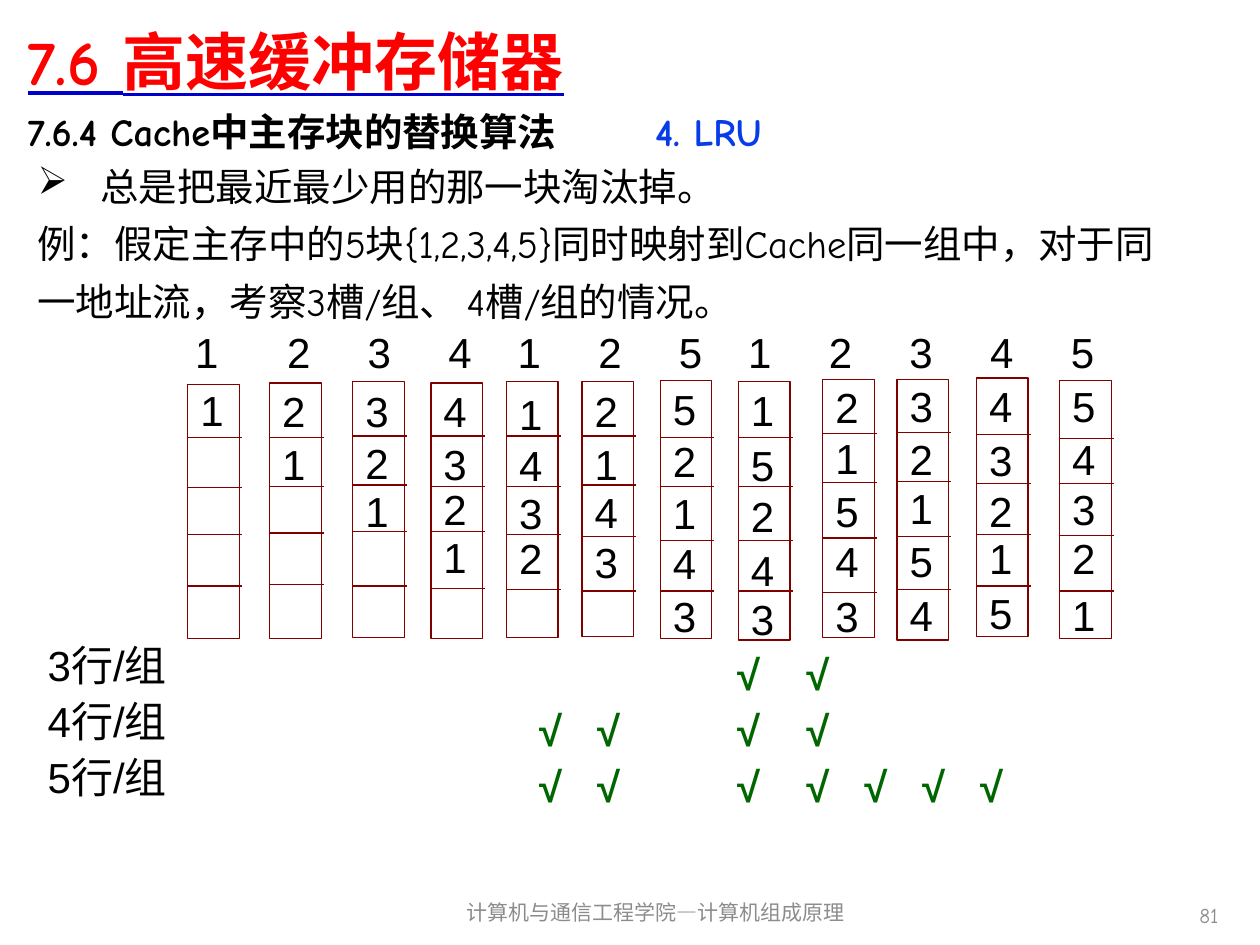
from itertools import accumulate

from lxml import etree
from pptx import Presentation
from pptx.dml.color import RGBColor
from pptx.enum.shapes import MSO_CONNECTOR, MSO_SHAPE
from pptx.enum.text import MSO_ANCHOR, MSO_AUTO_SIZE, PP_ALIGN
from pptx.oxml import parse_xml
from pptx.oxml.ns import nsdecls, qn
from pptx.util import Inches, Pt


def color(value):
    return RGBColor.from_string(value)


def add_text(area, lines, size, font_name="Comic Neue", ink="000000", bold=False,
             inset=True, grow=True, align=None, anchor=MSO_ANCHOR.TOP, tabs=()):
    """Add a text box; tabs holds one list of stops per line."""
    box = page.shapes.add_textbox(*[Inches(value) for value in area])
    frame = box.text_frame
    frame.text = "\n".join(lines)
    frame.word_wrap = True
    frame.auto_size = MSO_AUTO_SIZE.SHAPE_TO_FIT_TEXT if grow else MSO_AUTO_SIZE.NONE
    frame.vertical_anchor = anchor
    if not inset:
        frame.margin_left = frame.margin_right = 0
        frame.margin_top = frame.margin_bottom = 0
    for para, stops in zip(frame.paragraphs, tabs):
        tab_list = etree.SubElement(para._p.get_or_add_pPr(), qn("a:tabLst"))
        for stop in stops:
            etree.SubElement(tab_list, qn("a:tab"), pos=str(Inches(stop)), algn="l")
    for para in frame.paragraphs:
        para.alignment = align
        for span in para.runs:
            span.font.name = font_name
            span.font.size = Pt(size)
            span.font.bold = bold
            span.font.color.rgb = color(ink)
    return frame


deck = Presentation()
deck.slide_width, deck.slide_height = Inches(10), Inches(7.5)
page = deck.slides.add_slide(deck.slide_layouts[6])

# Title with a blue underline
title = add_text((0.12, 0.05, 9.69, 0.85), ["7.6 高速缓冲存储器"], 36, ink="FF0000",
                 bold=True, grow=False, anchor=MSO_ANCHOR.MIDDLE)
title_font = title.paragraphs[0].runs[0].font
title_font.underline = True
title_font._element.find(qn("a:latin")).addprevious(parse_xml(
    f'<a:uFill {nsdecls("a")}><a:solidFill><a:srgbClr val="0000CC"/></a:solidFill></a:uFill>'))

# Section headings
add_text((0.12, 0.81, 9.69, 0.47), ["7.6.4 Cache中主存块的替换算法"], 22, bold=True)
add_text((5.1, 0.81, 3.21, 0.47), ["4. LRU"], 22, ink="063DE8", bold=True)

# Rule and example
example = add_text((0.2, 1.15, 9.08, 1.49), [
    "总是把最近最少用的那一块淘汰掉。",
    "例：假定主存中的5块{1,2,3,4,5}同时映射到Cache同一组中，"
    "对于同一地址流，考察3槽/组、 4槽/组的情况。"], 22)
for para in example.paragraphs:
    para.line_spacing = 1.25
bullet = example.paragraphs[0]._p.get_or_add_pPr()
bullet.set("marL", str(Inches(0.5)))
bullet.set("indent", str(Inches(-0.5)))
etree.SubElement(bullet, qn("a:buChar"), char="➢")

# Address stream
DIGIT, SPACE = 0.19, 0.09
gaps = [6, 5, 5, 4, 5, 5, 4, 5, 5, 5, 5]
stream_stops = list(accumulate([DIGIT + SPACE * gap for gap in gaps], initial=SPACE))
stream_stops = [round(stop, 2) for stop in stream_stops]
add_text((1.36, 2.54, 7.56, 0.5), ["".join("\t" + block for block in "123412512345")],
         24, "Arial", tabs=[stream_stops])

# LRU stacks: left, top, height, divider heights, blocks, block heights
stacks = [
    (1.49, 3.05, 2.02, (3.47, 3.87, 4.24, 4.65), "1", (3.05,)),
    (2.14, 3.04, 2.03, (3.47, 3.86, 4.23, 4.64), "21", (3.06, 3.48)),
    (2.80, 3.03, 2.03, (3.46, 3.85, 4.22, 4.65), "321", (3.06, 3.47, 3.85)),
    (3.42, 3.04, 2.03, (3.46, 3.86, 4.22, 4.67), "4321", (3.06, 3.48, 3.84, 4.22)),
    (4.02, 3.03, 2.03, (3.46, 3.86, 4.24, 4.68), "1432", (3.08, 3.49, 3.87, 4.23)),
    (4.62, 3.03, 2.02, (3.46, 3.85, 4.26, 4.69), "2143", (3.06, 3.48, 3.86, 4.26)),
    (5.24, 3.02, 2.05, (3.47, 3.86, 4.29, 4.69), "52143", (3.04, 3.46, 3.87, 4.27, 4.69)),
    (5.86, 3.03, 2.05, (3.47, 3.86, 4.29, 4.69), "15243", (3.05, 3.49, 3.89, 4.32, 4.71)),
    (6.53, 3.01, 2.05, (3.44, 3.83, 4.27, 4.70), "21543", (3.03, 3.43, 3.85, 4.25, 4.69)),
    (7.12, 3.01, 2.07, (3.43, 3.82, 4.26, 4.68), "32154", (3.02, 3.44, 3.83, 4.25, 4.68)),
    (7.75, 3.00, 2.05, (3.45, 3.84, 4.24, 4.65), "43215", (3.02, 3.45, 3.85, 4.23, 4.66)),
    (8.41, 3.02, 2.05, (3.48, 3.84, 4.25, 4.69), "54321", (3.02, 3.44, 3.84, 4.23, 4.68)),
]
for left, top, height, dividers, blocks, block_tops in stacks:
    stack = page.shapes.add_shape(MSO_SHAPE.RECTANGLE, Inches(left), Inches(top),
                                  Inches(0.41), Inches(height))
    stack.shadow.inherit = False
    stack.fill.background()
    stack.line.color.rgb = color("800000")
    stack.line.width = Pt(0.75)
    for y in dividers:
        divider = page.shapes.add_connector(MSO_CONNECTOR.STRAIGHT, Inches(left), Inches(y),
                                            Inches(left + 0.43), Inches(y))
        divider.line.color.rgb = color("800000")
        divider.line.width = Pt(0.75)
        etree.SubElement(divider._element.spPr, qn("a:effectLst"))
    for block, y in zip(blocks, block_tops):
        add_text((left + 0.1, y, 0.3, 0.4), [block], 24, "Arial", inset=False)

# Hits for each set size
hit_stops = [2.87, 3.33, 4.44, 4.99, 5.45, 5.91, 6.37]
hit_rows = [hit_stops[2:4], hit_stops[:4], hit_stops]
hits = add_text((1.41, 5.15, 7.56, 1.29), ["\t√" * len(row) for row in hit_rows], 24,
                "Arial", "006600", bold=True, inset=False, tabs=hit_rows)
labels = add_text((0.28, 5.03, 1.25, 1.38), [f"{count}行/组" for count in (3, 4, 5)],
                  24, "Arial")
for para in hits.paragraphs[1:] + labels.paragraphs[1:]:
    para.space_before = Pt(3)

# Footer and page number
add_text((3.35, 7.04, 3.71, 0.4), ["计算机与通信工程学院—计算机组成原理"], 12, ink="8C8C8C",
         grow=False, align=PP_ALIGN.CENTER, anchor=MSO_ANCHOR.MIDDLE)
add_text((7.44, 7.06, 2.33, 0.4), ["81"], 12, ink="8C8C8C",
         grow=False, align=PP_ALIGN.RIGHT, anchor=MSO_ANCHOR.MIDDLE)

deck.save("out.pptx")
